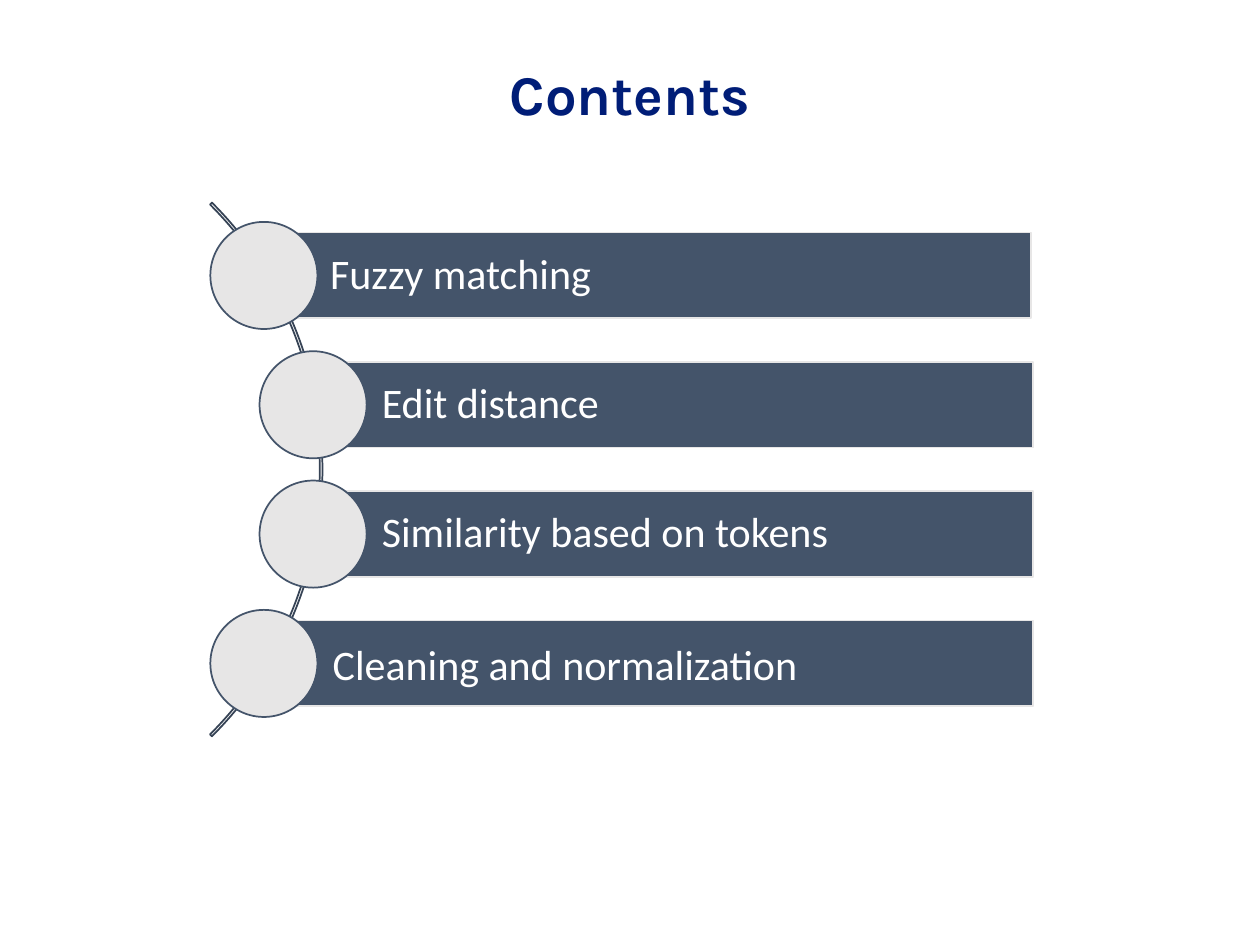
from pptx import Presentation
from pptx.dml.color import RGBColor
from pptx.enum import shapes, text
from pptx.util import Pt

NAVY = RGBColor(0x00, 0x1D, 0x77)
SLATE = RGBColor(0x44, 0x54, 0x6A)
DARK = RGBColor(0x36, 0x43, 0x55)
PALE = RGBColor(0xE7, 0xE6, 0xE6)
WHITE = RGBColor(0xFF, 0xFF, 0xFF)

# Topic, bar left, bar width, dot left, line spacing
TOPICS = [
    ("Fuzzy matching", 149.8, 439.2, 120.2, 0.9),
    ("Edit distance", 179.3, 411.1, 148.3, 0.9),
    ("Similarity based on tokens", 179.3, 411.1, 148.3, 0.9),
    ("Cleaning and normalization", 151.2, 439.2, 120.2, 1.0),
]
TOP, PITCH = 126.8, 73.9
DOT, BAR = 61.2, 49
ARC = 431.3


def add_shape(slide, kind, box, fill, line):
    shape = slide.shapes.add_shape(kind, *map(Pt, box))
    shape.shadow.inherit = False
    if fill is None:
        shape.fill.background()
    else:
        shape.fill.solid()
        shape.fill.fore_color.rgb = fill
    shape.line.color.rgb = line
    shape.line.width = Pt(1)
    return shape


def style_text(frame, name, size, color, align, bold=False):
    frame.vertical_anchor = text.MSO_ANCHOR.MIDDLE
    para = frame.paragraphs[0]
    para.alignment = align
    font = para.runs[0].font
    font.name, font.size, font.bold = name, Pt(size), bold
    font.color.rgb = color


def set_title(slide, words):
    title = slide.shapes.title
    title.left, title.top = Pt(21.6), Pt(30.2)
    title.width, title.height = Pt(676.8), Pt(46.1)
    title.text_frame.text = words
    style_text(title.text_frame, "Karla", 32, NAVY, text.PP_ALIGN.CENTER, True)


def add_arc(slide):
    mid = TOP + (3 * PITCH + DOT) / 2
    box = (-247, mid - ARC / 2, ARC, ARC)
    arc = add_shape(slide, shapes.MSO_SHAPE.BLOCK_ARC, box, None, DARK)
    for i, value in enumerate((189, 27, 0.0036)):
        arc.adjustments[i] = value


def add_bar(slide, words, box, space):
    bar = add_shape(slide, shapes.MSO_SHAPE.RECTANGLE, box, SLATE, PALE)
    frame = bar.text_frame
    frame.word_wrap = True
    frame.margin_left = Pt(38.9)
    frame.margin_top = frame.margin_right = frame.margin_bottom = Pt(5)
    frame.text = words
    frame.paragraphs[0].line_spacing = space
    style_text(frame, "Calibri", 24, WHITE, text.PP_ALIGN.LEFT)


def main():
    deck = Presentation()
    deck.slide_width, deck.slide_height = Pt(720), Pt(540)
    slide = deck.slides.add_slide(deck.slide_layouts[5])
    set_title(slide, "Contents")
    add_arc(slide)
    for i, (words, left, width, dot, space) in enumerate(TOPICS):
        top = TOP + i * PITCH
        add_bar(slide, words, (left, top + (DOT - BAR) / 2, width, BAR), space)
        add_shape(slide, shapes.MSO_SHAPE.OVAL, (dot, top, DOT, DOT), PALE, SLATE)
    deck.save("out.pptx")


if __name__ == "__main__":
    main()
